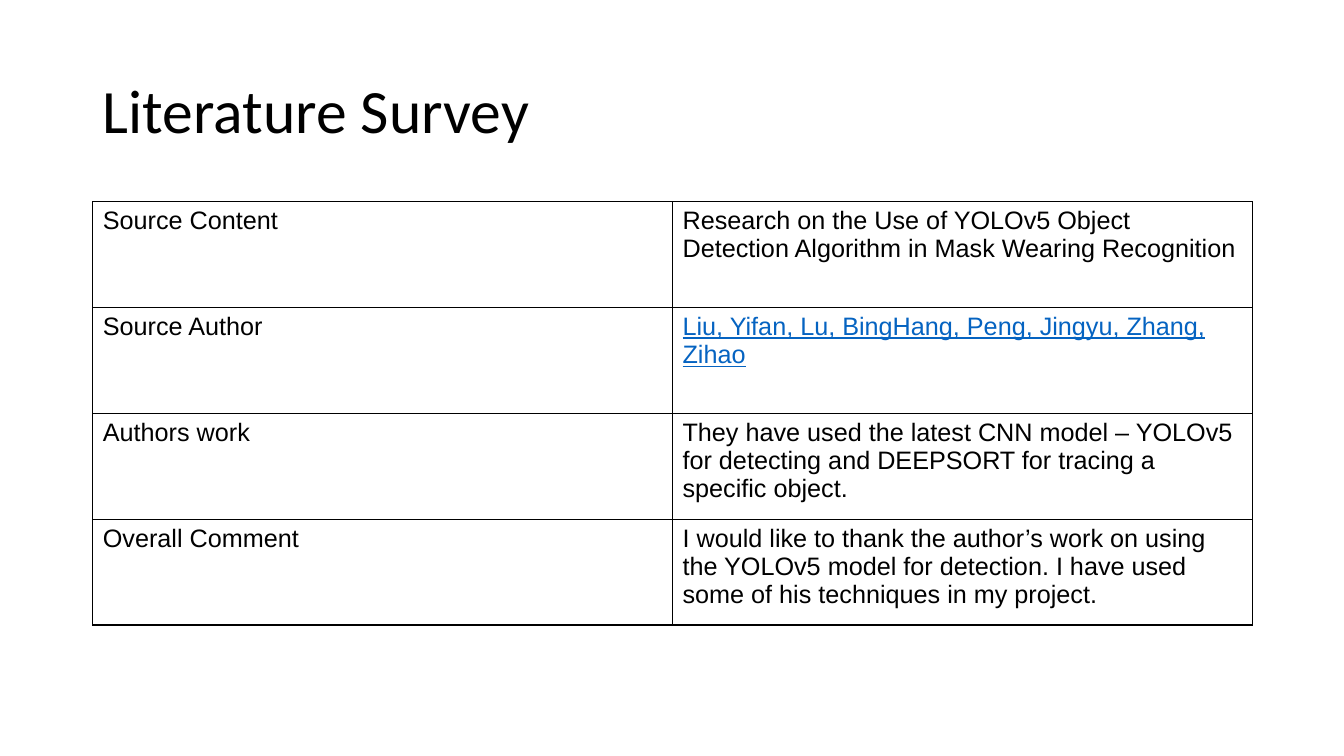
from lxml import etree
from pptx import Presentation
from pptx.dml.color import RGBColor
from pptx.enum import text
from pptx.oxml import ns
from pptx.util import Inches, Pt

BLACK = RGBColor(0, 0, 0)
WHITE = RGBColor(255, 255, 255)
BLUE = RGBColor(0x05, 0x63, 0xC1)

BODY = {"name": "Arial", "size": Pt(18)}
HEAD = {"name": "Calibri", "size": Pt(44)}
LINK = {**BODY, "underline": True}

ROWS = [
    ("Source Content",
     "Research on the Use of YOLOv5 Object Detection Algorithm in Mask Wearing Recognition", BODY, BLACK),
    ("Source Author",
     "Liu, Yifan, Lu, BingHang, Peng, Jingyu, Zhang, Zihao", LINK, BLUE),
    ("Authors work",
     "They have used the latest CNN model – YOLOv5 for detecting and DEEPSORT for tracing a specific object.",
     BODY, BLACK),
    ("Overall Comment",
     "I would like to thank the author’s work on using the YOLOv5 model for detection. "
     "I have used some of his techniques in my project.", BODY, BLACK),
]


def write(frame, words, form, color):
    """Put one formatted run in a text frame."""
    para = frame.paragraphs[0]
    run = para.add_run()
    run.text = words
    for key, value in form.items():
        setattr(run.font, key, value)
    run.font.color.rgb = color
    return para


def border(cell):
    """Draw a thin black line on all four sides of a cell."""
    props = cell._tc.get_or_add_tcPr()
    for spot, side in enumerate(("lnL", "lnR", "lnT", "lnB")):
        line = etree.Element(ns.qn(f"a:{side}"), w=str(Pt(1)))
        fill = etree.SubElement(line, ns.qn("a:solidFill"))
        etree.SubElement(fill, ns.qn("a:srgbClr"), val=str(BLACK))
        props.insert(spot, line)


def add_title(slide, box):
    """Place the heading in the title placeholder."""
    title = slide.shapes.title
    title.left, title.top, title.width, title.height = map(Inches, box)
    frame = title.text_frame
    frame.word_wrap = True
    frame.vertical_anchor = text.MSO_ANCHOR.MIDDLE
    para = write(frame, "Literature Survey", HEAD, BLACK)
    para.alignment = text.PP_ALIGN.LEFT
    para.line_spacing = 0.9


def add_survey(slide, box):
    """Fill the box with the survey table."""
    table = slide.shapes.add_table(len(ROWS), 2, *map(Inches, box)).table
    table.first_row = table.horz_banding = False
    for row, (label, words, form, color) in zip(table.rows, ROWS):
        parts = ((label, BODY, BLACK), (words, form, color))
        for cell, part in zip(row.cells, parts):
            cell.fill.solid()
            cell.fill.fore_color.rgb = WHITE
            border(cell)
            write(cell.text_frame, *part)


def main():
    """Build and save the slide."""
    deck = Presentation()
    deck.slide_width, deck.slide_height = Inches(13.33), Inches(7.5)
    slide = deck.slides.add_slide(deck.slide_layouts[5])
    add_title(slide, (0.92, 0.4, 11.5, 1.45))
    add_survey(slide, (0.92, 2, 11.5, 4.2))
    deck.save("out.pptx")


if __name__ == "__main__":
    main()
